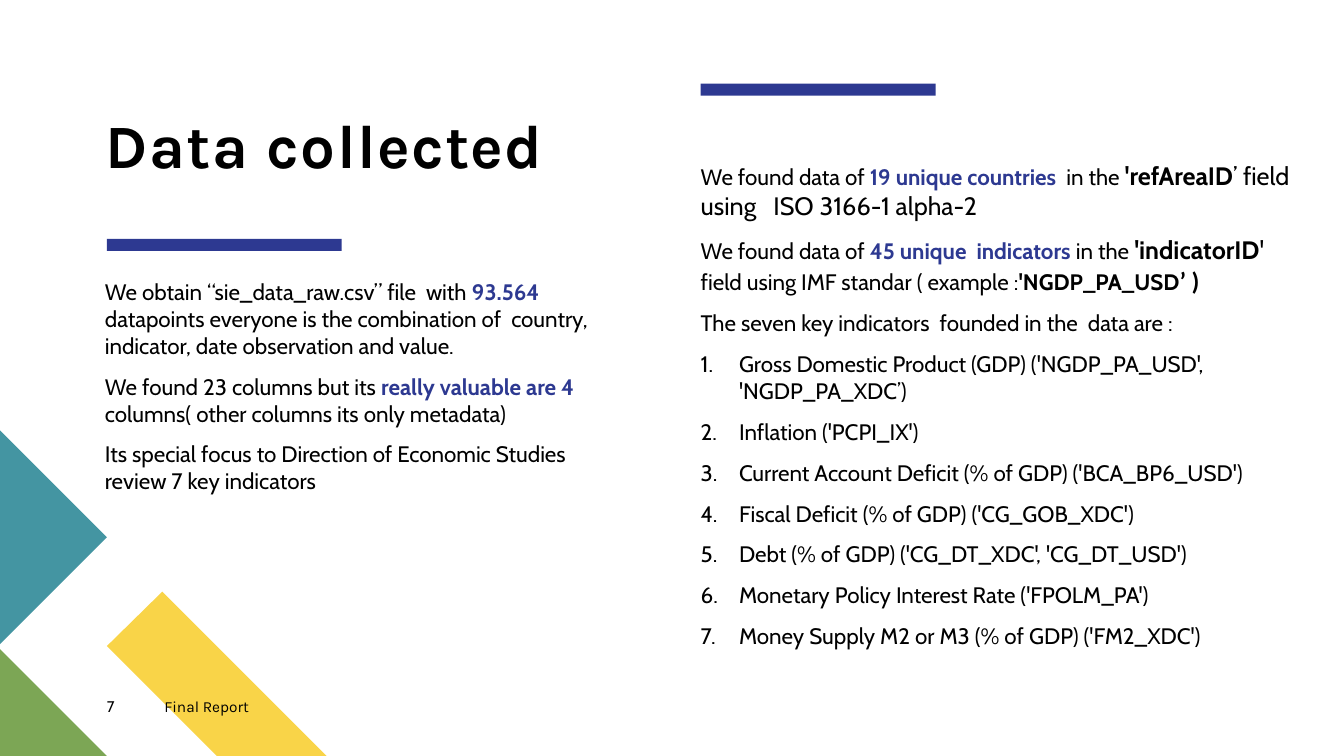
from pptx import Presentation
from pptx.dml.color import RGBColor
from pptx.enum.shapes import MSO_SHAPE
from pptx.enum.text import MSO_ANCHOR, MSO_AUTO_SIZE, PP_ALIGN
from pptx.oxml.xmlchemy import OxmlElement
from pptx.util import Inches, Pt

BLACK = RGBColor(0x00, 0x00, 0x00)
BLUE = RGBColor(0x2D, 0x39, 0x91)
YELLOW = RGBColor(0xF9, 0xD4, 0x48)
GREEN = RGBColor(0x7C, 0xA6, 0x55)
TEAL = RGBColor(0x44, 0x95, 0xA2)

PLAIN = {"size": 16}
LARGE = {"size": 18}
BOLD = {"size": 16, "bold": True}
LARGE_BOLD = {"size": 18, "bold": True}
KEY = {"size": 16, "bold": True, "color": BLUE}
CALIBRI_BOLD = {"size": 18, "bold": True, "name": "Calibri"}

TITLE = "Data collected"
DATASET = [
    [("We obtain “sie_data_raw.csv” file  with ", PLAIN),
     ("93.564", KEY),
     (" datapoints everyone is the combination of  country, indicator, "
      "date observation and value.", PLAIN)],
    [("We found 23 columns but its ", PLAIN),
     ("really valuable are 4 ", KEY),
     ("columns( other columns its only metadata)", PLAIN)],
    "Its special focus to Direction of Economic Studies  review 7 key indicators",
]
FIELDS = [
    [("We found data of ", PLAIN),
     ("19 unique countries  ", KEY),
     ("in the ", PLAIN),
     ("'refAreaID", LARGE_BOLD),
     ("’ field using   ISO 3166-1 alpha-2", LARGE)],
    [("We found data of ", PLAIN),
     ("45 unique  indicators ", KEY),
     ("in the ", PLAIN),
     ("'indicatorID", LARGE_BOLD),
     ("'", LARGE),
     (" field using IMF standar ( example :", PLAIN),
     ("'NGDP_PA_USD", BOLD),
     ("’ )", CALIBRI_BOLD)],
    "The seven key indicators  founded in the  data are :",
]
INDICATORS = [
    "Gross Domestic Product (GDP) ('NGDP_PA_USD', 'NGDP_PA_XDC’)",
    "Inflation ('PCPI_IX')",
    "Current Account Deficit (% of GDP) ('BCA_BP6_USD')",
    "Fiscal Deficit (% of GDP) ('CG_GOB_XDC')",
    "Debt (% of GDP) ('CG_DT_XDC', 'CG_DT_USD')",
    "Monetary Policy Interest Rate ('FPOLM_PA')",
    "Money Supply M2 or M3 (% of GDP) ('FM2_XDC')",
]
FOOTER = [("7", 1.06, 0.57, "Cabin"), ("Final Report", 1.63, 1.64, "Karla")]
CORNER = [
    (YELLOW, [(3.24, 7.5), (2.15, 7.5), (1.06, 6.41), (1.61, 5.87)]),
    (GREEN, [(1.06, 7.5), (0, 7.5), (0, 6.44)]),
    (TEAL, [(0, 4.27), (1.06, 5.33), (0, 6.39)]),
]
BARS = [(1.06, 2.37), (6.95, 0.83)]


def paint(shape, color):
    shape.fill.solid()
    shape.fill.fore_color.rgb = color
    shape.line.fill.background()
    shape.shadow.inherit = False


def set_font(font, name=None, size=16, bold=False, color=BLACK):
    font.size = Pt(size)
    font.bold = bold
    font.color.rgb = color
    if name:
        font.name = name


def prepare(shape, left, top, width, height, anchor=MSO_ANCHOR.TOP):
    shape.left, shape.top = Inches(left), Inches(top)
    shape.width, shape.height = Inches(width), Inches(height)
    frame = shape.text_frame
    frame.margin_left = frame.margin_right = 0
    frame.margin_top = frame.margin_bottom = 0
    frame.word_wrap = True
    frame.auto_size = MSO_AUTO_SIZE.NONE
    frame.vertical_anchor = anchor
    return frame


def add_paragraph(frame, content, numbered=False):
    first = not frame.text
    paragraph = frame.paragraphs[0] if first else frame.add_paragraph()
    paragraph.alignment = PP_ALIGN.LEFT
    paragraph.space_before = Pt(0 if first else 10)
    properties = paragraph._p.get_or_add_pPr()
    indent = Inches(0.38) if numbered else 0
    properties.set("marL", str(indent))
    properties.set("indent", str(-indent))
    bullet = OxmlElement("a:buAutoNum" if numbered else "a:buNone")
    if numbered:
        bullet.set("type", "arabicPeriod")
    properties.append(bullet)
    if isinstance(content, str):
        paragraph.add_run().text = content
        set_font(paragraph.font, "Cabin")
    else:
        paragraph.font.name = "Cabin"
        for text, style in content:
            run = paragraph.add_run()
            run.text = text
            set_font(run.font, **style)


def main():
    deck = Presentation()
    deck.slide_width, deck.slide_height = Inches(13.33), Inches(7.5)
    slide = deck.slides.add_slide(deck.slide_layouts[3])
    shapes = slide.shapes
    title, dataset, fields = slide.placeholders

    for color, corners in CORNER:
        points = [(Inches(x), Inches(y)) for x, y in corners]
        outline = shapes.build_freeform(*points[0])
        outline.add_line_segments(points[1:])
        paint(outline.convert_to_shape(), color)

    heading = prepare(title, 1.05, 0.09, 5, 1.71, MSO_ANCHOR.BOTTOM).paragraphs[0]
    heading.alignment = PP_ALIGN.LEFT
    heading.line_spacing = 0.9
    run = heading.add_run()
    run.text = TITLE
    run._r.get_or_add_rPr().set("spc", "100")
    set_font(heading.font, "Karla", 44, True)

    dataset_frame = prepare(dataset, 1.04, 2.76, 5, 2.8)
    for content in DATASET:
        add_paragraph(dataset_frame, content)

    fields_frame = prepare(fields, 6.95, 1.59, 5.97, 4.91)
    for content in FIELDS:
        add_paragraph(fields_frame, content)
    for indicator in INDICATORS:
        add_paragraph(fields_frame, indicator, numbered=True)

    for left, top in BARS:
        bar = shapes.add_shape(MSO_SHAPE.RECTANGLE, Inches(left), Inches(top),
                               Inches(2.33), Inches(0.12))
        paint(bar, BLUE)

    for text, left, width, font_name in FOOTER:
        label = prepare(shapes.add_textbox(0, 0, 0, 0), left, 6.92, width, 0.27)
        label.text = text
        set_font(label.paragraphs[0].font, font_name, 11)

    deck.save("out.pptx")


if __name__ == "__main__":
    main()
